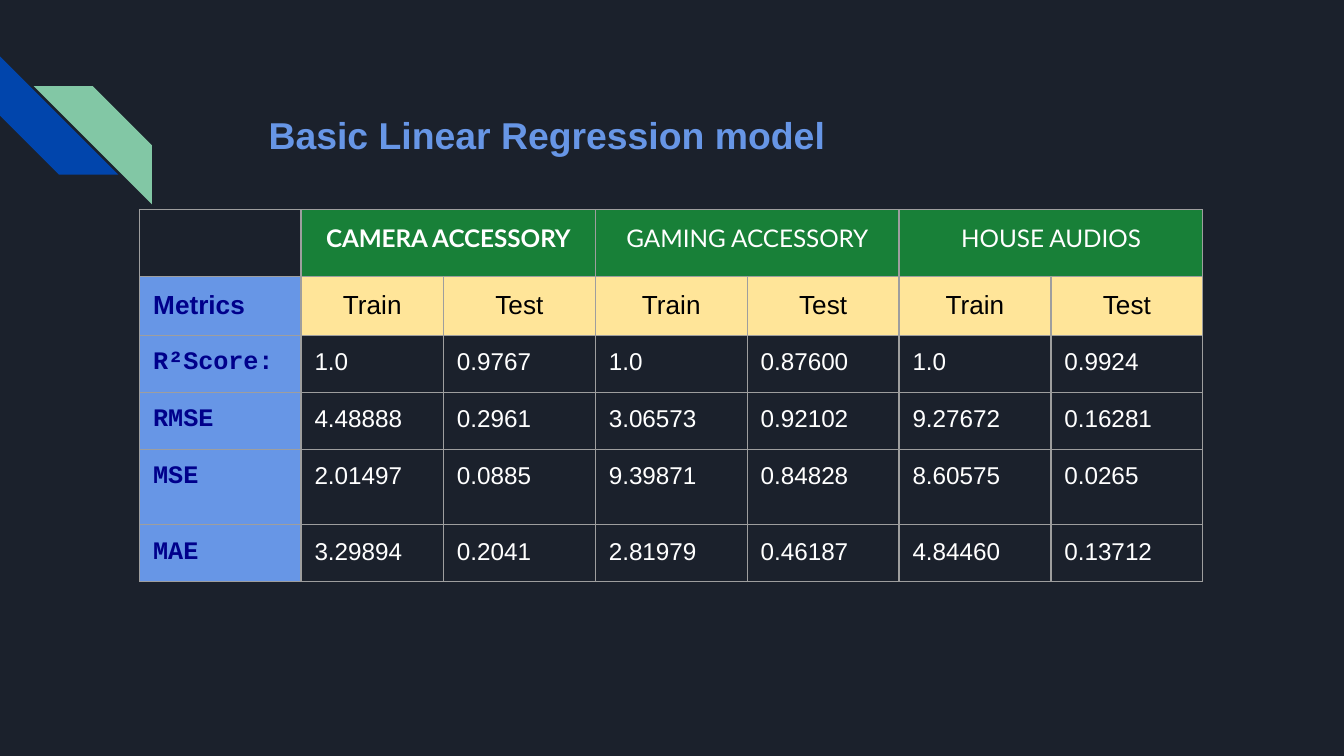
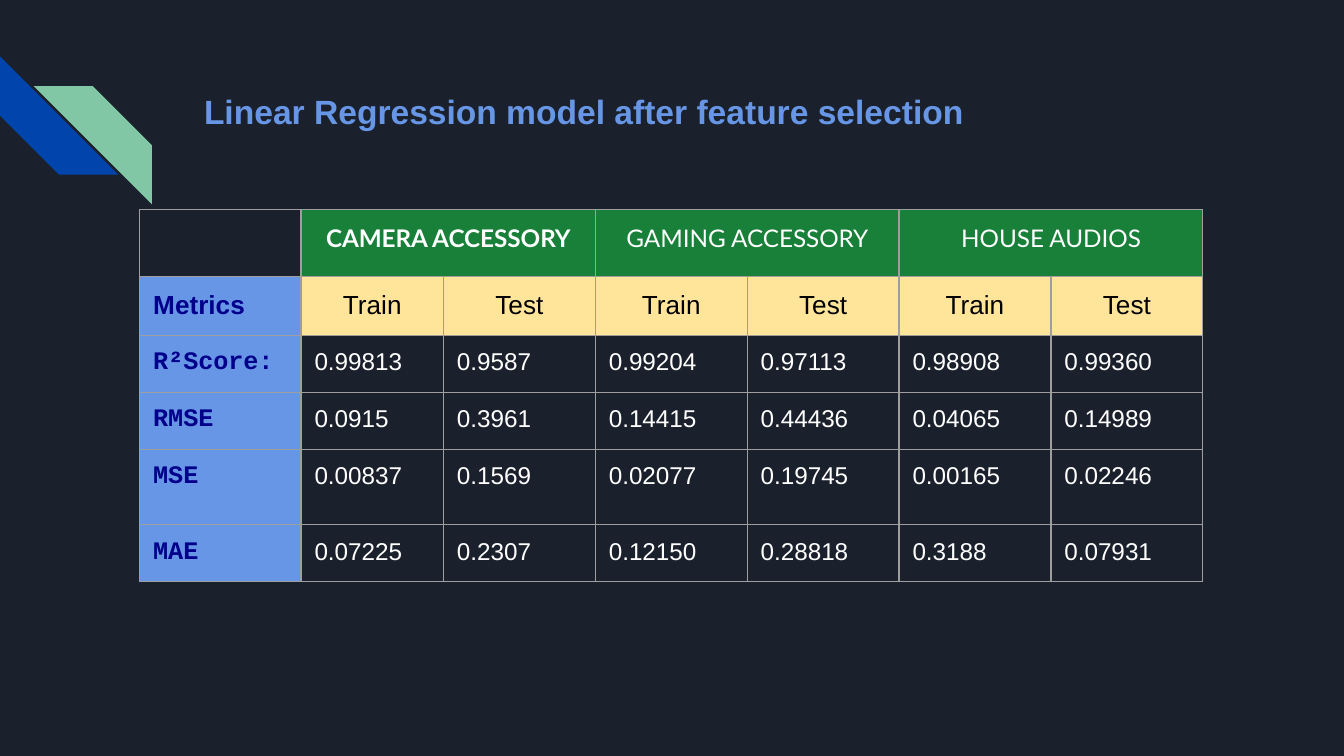
import pptx
import pptx.dml.color
import pptx.enum.shapes
import pptx.enum.text
import pptx.oxml
import pptx.oxml.ns
import pptx.util

Inches = pptx.util.Inches
Pt = pptx.util.Pt
RGBColor = pptx.dml.color.RGBColor
Align = pptx.enum.text.PP_ALIGN

NIGHT = RGBColor(0x1B, 0x21, 0x2C)
COBALT = RGBColor(0x01, 0x45, 0xAC)
MINT = RGBColor(0x82, 0xC7, 0xA5)
SKY = RGBColor(0x67, 0x96, 0xE6)
NAVY = RGBColor(0x00, 0x00, 0x8B)
GREEN = RGBColor(0x18, 0x80, 0x38)
CREAM = RGBColor(0xFF, 0xE5, 0x99)
WHITE = RGBColor(0xFF, 0xFF, 0xFF)
BLACK = RGBColor(0x00, 0x00, 0x00)
GREY = RGBColor(0x9E, 0x9E, 0x9E)

PRODUCTS = ["CAMERA ACCESSORY", "GAMING ACCESSORY", "HOUSE AUDIOS"]
METRICS = ["R²Score:", "RMSE", "MSE", "MAE"]
COLUMN_WIDTHS = [1.2, 1.06] + [1.13] * 5
ROW_HEIGHTS = [Inches(5 / 12)] * 4 + [Inches(0.56), Inches(5 / 12)]
TABLE_FRAME = Inches(3.28)

BASIC_SCORES = [
    ["1.0", "0.9767", "1.0", "0.87600", "1.0", "0.9924"],
    ["4.48888", "0.2961", "3.06573", "0.92102", "9.27672", "0.16281"],
    ["2.01497", "0.0885", "9.39871", "0.84828", "8.60575", "0.0265"],
    ["3.29894", "0.2041", "2.81979", "0.46187", "4.84460", "0.13712"],
]
SELECTED_SCORES = [
    ["0.99813", "0.9587", "0.99204", "0.97113", "0.98908", "0.99360"],
    ["0.0915", "0.3961", "0.14415", "0.44436", "0.04065", "0.14989"],
    ["0.00837", "0.1569", "0.02077", "0.19745", "0.00165", "0.02246"],
    ["0.07225", "0.2307", "0.12150", "0.28818", "0.3188", "0.07931"],
]


class MetricsDeck:
    """Builds dark pages with corner stripes, a title and a table of scores."""

    def __init__(self):
        self.deck = pptx.Presentation()
        self.deck.slide_width = Inches(10)
        self.deck.slide_height = Inches(10 * 9 / 16)
        self.page = None

    def add_page(self):
        self.page = self.deck.slides.add_slide(self.deck.slide_layouts[6])
        self.page.background.fill.solid()
        self.page.background.fill.fore_color.rgb = NIGHT
        self.add_stripe(0, 0.42, COBALT).rotation = 270
        self.add_stripe(0.25, 0.64, MINT).element.spPr.xfrm.set("flipH", "1")

    def add_stripe(self, left, top, color):
        stripe = self.page.shapes.add_shape(
            pptx.enum.shapes.MSO_SHAPE.DIAGONAL_STRIPE,
            Inches(left), Inches(top), Inches(0.88), Inches(0.88))
        stripe.adjustments[0] = 0.5
        stripe.shadow.inherit = False
        stripe.fill.solid()
        stripe.fill.fore_color.rgb = color
        stripe.line.fill.background()
        return stripe

    def set_text(self, frame, text, size, color, font="Arial", bold=False, align=Align.LEFT):
        frame.text = text
        para = frame.paragraphs[0]
        para.alignment = align
        for span in para.runs:
            span.font.name = font
            span.font.size = Pt(size)
            span.font.bold = bold
            span.font.color.rgb = color
        return para

    def add_title(self, text, left, top, width, height, size, space_after=0):
        box = self.page.shapes.add_textbox(
            Inches(left), Inches(top), Inches(width), Inches(height))
        frame = box.text_frame
        frame.word_wrap = True
        frame.margin_left = frame.margin_right = Inches(0.1)
        frame.margin_top = frame.margin_bottom = Inches(0.1)
        para = self.set_text(frame, text, size, SKY, bold=True, align=Align.JUSTIFY)
        para.line_spacing = 1.5
        para.space_before = Pt(12)
        para.space_after = Pt(space_after)

    def style_cell(self, cell, fill=None):
        cell.margin_left = cell.margin_right = Inches(0.1)
        cell.margin_top = cell.margin_bottom = Inches(0.1)
        properties = cell._tc.get_or_add_tcPr()
        for side in ("lnL", "lnR", "lnT", "lnB"):
            properties.append(pptx.oxml.parse_xml(
                f'<a:{side} {pptx.oxml.ns.nsdecls("a")} w="{Pt(0.75)}">'
                f'<a:solidFill><a:srgbClr val="{GREY}"/></a:solidFill></a:{side}>'))
        if fill is None:
            cell.fill.background()
        else:
            cell.fill.solid()
            cell.fill.fore_color.rgb = fill

    def fill_cell(self, cell, text, size, color, fill=None, **style):
        self.style_cell(cell, fill)
        self.set_text(cell.text_frame, text, size, color, **style)

    def add_scores(self, scores):
        holder = self.page.shapes.add_table(
            len(ROW_HEIGHTS), len(COLUMN_WIDTHS), Inches(1.04), Inches(1.56),
            TABLE_FRAME, TABLE_FRAME)
        table = holder.table
        table.first_row = table.horz_banding = False
        for column, width in zip(table.columns, COLUMN_WIDTHS):
            column.width = Inches(width)
        for row, height in zip(table.rows, ROW_HEIGHTS):
            row.height = height
        holder.width = holder.height = TABLE_FRAME

        self.style_cell(table.cell(0, 0))
        for index, product in enumerate(PRODUCTS):
            first, second = table.cell(0, 2 * index + 1), table.cell(0, 2 * index + 2)
            first.merge(second)
            self.fill_cell(first, product, 13, WHITE, GREEN,
                           font="Lato", bold=index == 0, align=Align.CENTER)
            self.style_cell(second, GREEN)

        self.fill_cell(table.cell(1, 0), "Metrics", 14, NAVY, SKY, bold=True)
        for column, name in enumerate(["Train", "Test"] * len(PRODUCTS), 1):
            self.fill_cell(table.cell(1, column), name, 14, BLACK, CREAM, align=Align.CENTER)

        for row, (metric, values) in enumerate(zip(METRICS, scores), 2):
            self.fill_cell(table.cell(row, 0), metric, 13.5, NAVY, SKY,
                           font="Courier New", bold=True)
            for column, value in enumerate(values, 1):
                self.fill_cell(table.cell(row, column), value, 13, WHITE)


def main():
    builder = MetricsDeck()

    builder.add_page()
    builder.add_title("Basic Linear Regression model", 1.9, 0.57, 5.94, 0.37, 20, space_after=12)
    builder.add_scores(BASIC_SCORES)

    builder.add_page()
    builder.add_title("Linear Regression model after feature selection",
                      1.42, 0.43, 7.7, 0.67, 18)
    builder.add_scores(SELECTED_SCORES)

    builder.deck.save("out.pptx")


if __name__ == "__main__":
    main()
